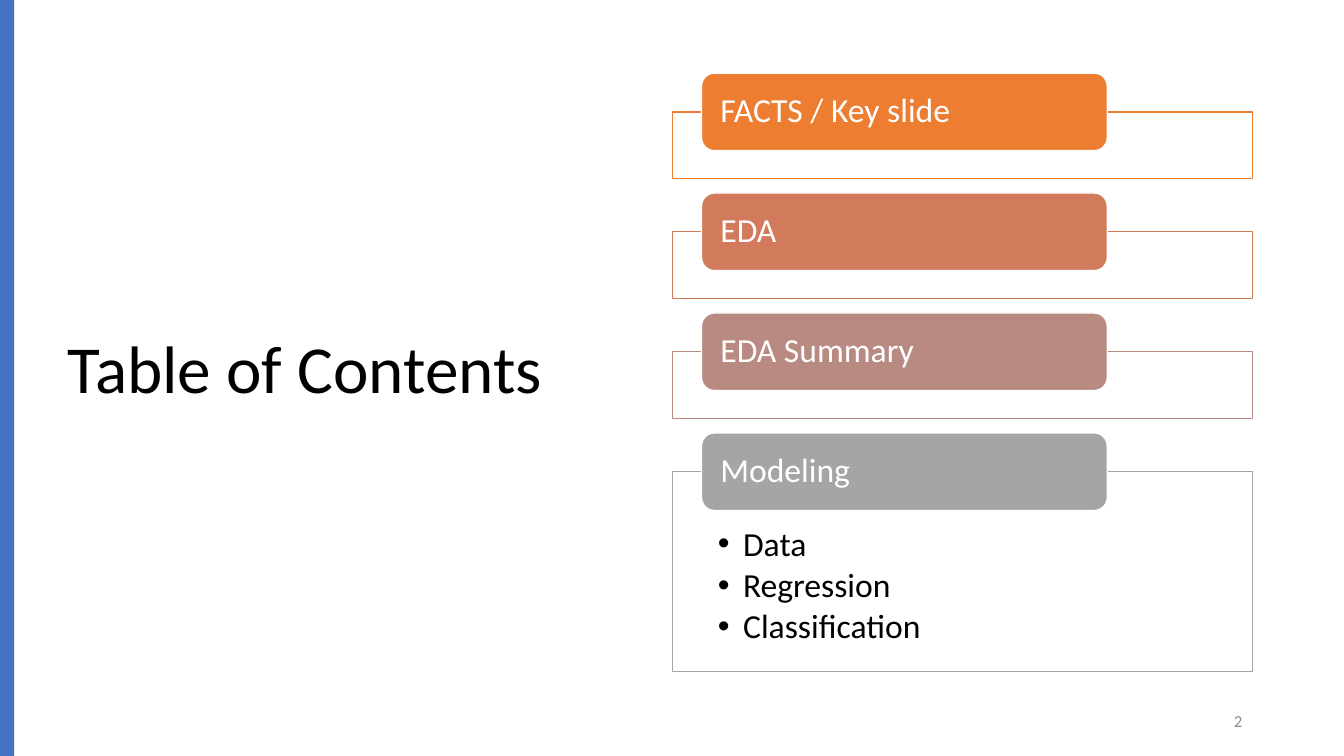
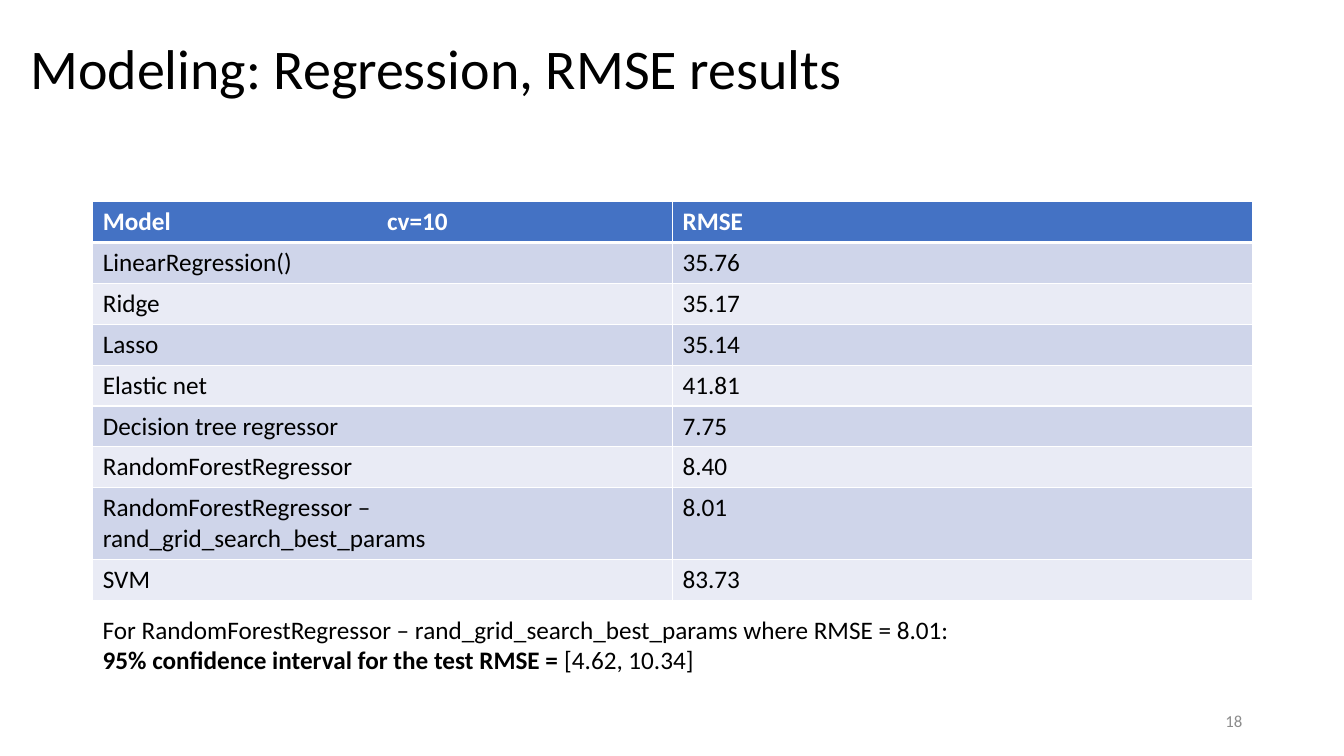
import pptx
import pptx.util
import pptx.dml.color
import pptx.enum.shapes
import pptx.enum.text
import pptx.oxml
import pptx.oxml.ns

RGB = pptx.dml.color.RGBColor
KIND = pptx.enum.shapes.MSO_SHAPE
SIDE = pptx.enum.text.PP_ALIGN
MID = pptx.enum.text.MSO_ANCHOR.MIDDLE
TOP = pptx.enum.text.MSO_ANCHOR.TOP
FIXED = pptx.enum.text.MSO_AUTO_SIZE.NONE
Pt, Inch = pptx.util.Pt, pptx.util.Inches

# Content
TOPICS = [
    ("FACTS / Key slide", RGB(0xED, 0x7D, 0x31), []),
    ("EDA", RGB(0xD1, 0x7B, 0x5C), []),
    ("EDA Summary", RGB(0xB9, 0x8A, 0x82), []),
    ("Modeling", RGB(0xA5, 0xA5, 0xA5), ["Data", "Regression", "Classification"]),
]
SCORES = [
    ("Model\tcv=10", "RMSE"),
    ("LinearRegression()", "35.76"),
    ("Ridge", "35.17"),
    ("Lasso", "35.14"),
    ("Elastic net", "41.81"),
    ("Decision tree regressor", "7.75"),
    ("RandomForestRegressor", "8.40"),
    ("RandomForestRegressor – rand_grid_search_best_params", "8.01"),
    ("SVM", "83.73"),
]
NOTE = [
    [("For RandomForestRegressor – rand_grid_search_best_params where RMSE = 8.01:", False)],
    [("95% confidence interval for the test RMSE = ", True), ("[4.62, 10.34]", False)],
]

# Shared look
FONT = "Calibri"
BLACK, WHITE = RGB(0, 0, 0), RGB(0xFF, 0xFF, 0xFF)
BLUE, GREY = RGB(0x44, 0x72, 0xC4), RGB(0x8C, 0x8C, 0x8C)
BANDS = [RGB(0xE9, 0xEB, 0xF5), RGB(0xCF, 0xD5, 0xEA)]
WIDE, HIGH = 13.33, 7.5
RIGHT = 12.42          # right edge of body and footer
HALF = 5.75            # body column width
LEFT = RIGHT - 2 * HALF


def inches(*vals):
    return [Inch(v) for v in vals]


def apply(item, vals):
    for key, val in vals.items():
        setattr(item, key, val)


def frame(shape, anchor=TOP, pad=(0.1, 0.05, 0.1, 0.05)):
    names = ("margin_left", "margin_top", "margin_right", "margin_bottom")
    text = shape.text_frame
    apply(text, dict(word_wrap=True, auto_size=FIXED, vertical_anchor=anchor))
    apply(text, dict(zip(names, inches(*pad))))
    return text


def write(text, lines, size, color=BLACK, **form):
    """Fill a text frame; each line is a string or a list of (text, bold)."""
    paras = []
    for num, line in enumerate(lines):
        para = text.add_paragraph() if num else text.paragraphs[0]
        apply(para, dict(alignment=SIDE.LEFT) | form)
        for words, bold in [(line, False)] if isinstance(line, str) else line:
            run = para.add_run()
            run.text = words
            apply(run.font, dict(name=FONT, size=Pt(size), bold=bold))
            run.font.color.rgb = color
        paras.append(para)
    return paras


def block(slide, kind, box, fill, line=None):
    shape = slide.shapes.add_shape(kind, *inches(*box))
    shape.shadow.inherit = False
    shape.fill.solid()
    shape.fill.fore_color.rgb = fill
    if line is None:
        shape.line.fill.background()
    else:
        shape.line.color.rgb = line
        shape.line.width = Pt(1)
    return shape


def label(slide, box, lines, size, color=BLACK, anchor=TOP, **form):
    shape = slide.shapes.add_textbox(*inches(*box))
    write(frame(shape, anchor), lines, size, color, **form)


def start(deck, title, box, size, page):
    """Add a slide with its title and page number."""
    slide = deck.slides.add_slide(deck.slide_layouts[5])
    head = slide.shapes.title
    apply(head, dict(zip(("left", "top", "width", "height"), inches(*box))))
    write(frame(head, MID), [title], size, line_spacing=0.9)
    label(slide, (RIGHT - 3, 6.95, 3, 0.4), [page], 12, GREY, MID,
          alignment=SIDE.RIGHT)
    return slide


def node(tag, inner="", attrs=""):
    space = pptx.oxml.ns.nsdecls("a")
    return pptx.oxml.parse_xml(f"<a:{tag} {space} {attrs}>{inner}</a:{tag}>")


def bullet(para):
    props = para._p.get_or_add_pPr()
    indent = Inch(0.25)
    props.set("marL", str(indent))
    props.set("indent", str(-indent))
    props.append(node("buFont", attrs='typeface="Arial"'))
    props.append(node("buChar", attrs='char="•"'))


def border(cell, first):
    fill = f'<a:solidFill><a:srgbClr val="{WHITE}"/></a:solidFill>'
    props = cell._tc.get_or_add_tcPr()
    for spot, side in enumerate("LRTB"):
        width = Pt(3 if first and side == "B" else 1)
        props.insert(spot, node("ln" + side, fill, f'w="{width}"'))


def contents(deck):
    slide = start(deck, "Table of Contents", (0.57, 0.68, 5.67, 6.02), 48, "2")
    block(slide, KIND.RECTANGLE, (0, 0, 0.14, HIGH), BLUE)
    left, top, step, tab = RIGHT - HALF, 1.11, 1.19, 0.77
    for num, (name, color, points) in enumerate(TOPICS):
        y = top + num * step
        tall = 1.98 if points else 0.66
        panel = block(slide, KIND.RECTANGLE, (left, y, HALF, tall), WHITE, color)
        if points:
            text = frame(panel, pad=(0.45, 0.55, 0.45, 0.19))
            for para in write(text, points, 24, line_spacing=0.9,
                              space_after=Pt(3.6)):
                bullet(para)
        box = (left + 0.05 * HALF, y - tab / 2, 0.7 * HALF, tab)
        head = block(slide, KIND.ROUNDED_RECTANGLE, box, color, WHITE)
        write(frame(head, MID, (0.15, 0, 0.15, 0)), [name], 24, WHITE,
              line_spacing=0.9)


def results(deck):
    slide = start(deck, "Modeling: Regression, RMSE results",
                  (0.2, -0.02, 11.5, 1.45), 40, "18")
    row = 0.4
    grid = slide.shapes.add_table(
        len(SCORES), 2, *inches(LEFT, 2, 2 * HALF, row * len(SCORES))).table
    for col in grid.columns:
        col.width = Inch(HALF)
    for y, pair in enumerate(SCORES):
        for x, words in enumerate(pair):
            cell, first = grid.cell(y, x), y == 0
            cell.fill.solid()
            cell.fill.fore_color.rgb = BLUE if first else BANDS[y % 2]
            para, = write(cell.text_frame, [[(words, first)]], 18,
                          WHITE if first else BLACK)
            if "\t" in words:
                stop = f'<a:tab pos="{Inch(2.82)}" algn="l"/>'
                para._p.get_or_add_pPr().append(node("tabLst", stop))
            border(cell, first)
    label(slide, (LEFT, 6.04, 11.09, 0.75), NOTE, 18)


def main():
    deck = pptx.Presentation()
    apply(deck, dict(slide_width=Inch(WIDE), slide_height=Inch(HIGH)))
    contents(deck)
    results(deck)
    deck.save("out.pptx")


if __name__ == "__main__":
    main()
